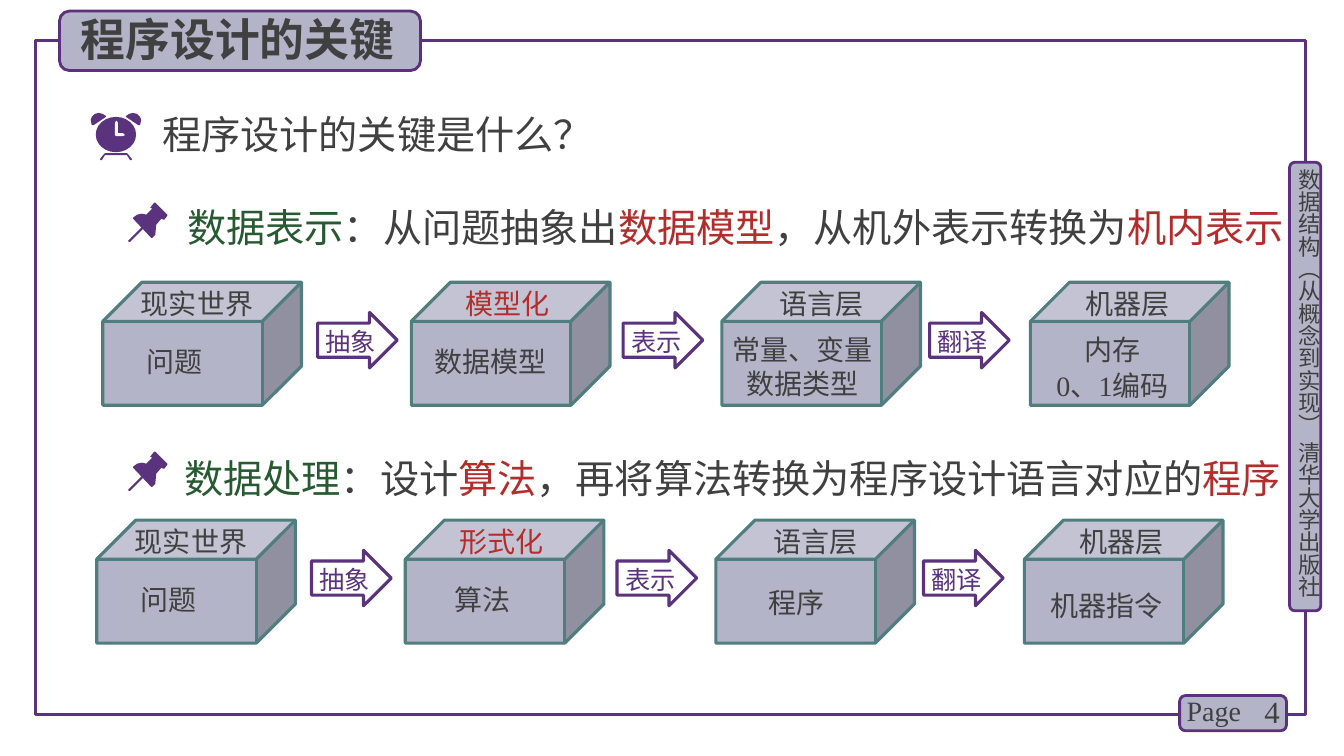
from lxml import etree
from pptx import Presentation
from pptx.dml.color import RGBColor
from pptx.enum.shapes import MSO_SHAPE
from pptx.enum.text import MSO_ANCHOR, MSO_AUTO_SIZE, PP_ALIGN
from pptx.oxml.ns import qn
from pptx.util import Inches, Pt

RECTANGLE, ROUNDED, OVAL = MSO_SHAPE.RECTANGLE, MSO_SHAPE.ROUNDED_RECTANGLE, MSO_SHAPE.OVAL
CUBE, ARROW = MSO_SHAPE.CUBE, MSO_SHAPE.RIGHT_ARROW
TOP, MIDDLE = MSO_ANCHOR.TOP, MSO_ANCHOR.MIDDLE
LEFT, CENTER, RIGHT = PP_ALIGN.LEFT, PP_ALIGN.CENTER, PP_ALIGN.RIGHT

COLORS = {
    "purple": "5A327D", "badge line": "5C307D", "lavender": "B4B4C8", "teal": "507D7D",
    "text": "404040", "green": "285A32", "red": "B42D2D", "white": "FFFFFF",
}
SANS, SERIF = "Noto Sans CJK SC", "Times New Roman"

# Icon outlines in hundredths of an inch from the icon's corner
PIN_HEAD = [(39, 12), (27, 0), (26, 0), (22, 5), (24, 6), (18, 12), (14, 11), (9, 12), (5, 15),
            (5, 16), (23, 35), (24, 35), (27, 32), (28, 22), (33, 16), (35, 17), (36, 17), (39, 13)]
PIN_NEEDLE = [(0, 38), (1, 39), (2, 39), (15, 26), (15, 25), (14, 24), (1, 37)]
CLOCK_BELL = [(8, 0), (4, 1), (1, 4), (0, 7), (1, 12), (3, 12), (15, 4), (15, 3), (12, 1)]
CLOCK_LEGS = [(41, 46), (37, 41), (36, 40), (14, 40), (13, 41), (9, 46), (10, 47), (11, 47),
              (14, 42), (36, 42), (39, 47), (40, 47)]
CLOCK_HANDS = [(25, 8), (24, 10), (24, 22), (25, 23), (32, 23), (34, 22), (32, 20), (27, 20),
               (27, 10), (26, 8)]

CUBE_OFFSETS = [0, 3.06, 6.14, 9.2]
ARROWS = [("抽象", 2.13), ("表示", 5.16), ("翻译", 8.2)]
# Text on each cube's lid: offset from the cube, width
LIDS = [(0.28, 1.66), (0.44, 1.23), (0.47, 1.15), (0.45, 1.18)]
# Text on each cube's front: lines, left and top offsets, width, paragraph and font format
MACHINE = {"align": CENTER, "spacing": Pt(26), "font": SERIF}
DATA_CUBES = [
    ("现实世界", "text", ["问题"], 0.33, 0.57, 0.98, {}),
    ("模型化", "red", ["数据模型"], 0.13, 0.57, 1.37, {}),
    ("语言层", "text", ["常量、变量", "数据类型"], -0.02, 0.45, 1.64, {"align": CENTER}),
    ("机器层", "text", ["内存", "0、1编码"], 0, 0.42, 1.63, MACHINE),
]
PROCESS_CUBES = [
    ("现实世界", "text", ["问题"], 0.33, 0.57, 0.98, {}),
    ("形式化", "red", ["算法"], 0.39, 0.57, 0.9, {}),
    ("语言层", "text", ["程序"], -0.02, 0.6, 1.64, {"align": CENTER}),
    ("机器层", "text", ["机器指令"], 0, 0.6, 1.63, MACHINE),
]
DATA_POINT = [("数据表示", "green"), ("：从问题抽象出", "text"), ("数据模型", "red"),
              ("，从机外表示转换为", "text"), ("机内表示", "red")]
PROCESS_POINT = [("数据处理", "green"), ("：设计", "text"), ("算法", "red"),
                 ("，再将算法转换为程序设计语言对应的", "text"), ("程序", "red")]


def rgb(name):
    return RGBColor.from_string(COLORS[name])


def fill_text(frame, lines, size, align=LEFT, spacing=1.0, font=SANS, bold=False,
              anchor=TOP, margins=(0.1, 0.05, 0.1, 0.05)):
    """Write lines into a text frame; each line is a list of (text, colour) runs."""
    left, top, right, bottom = map(Inches, margins)
    frame_format = {"word_wrap": True, "auto_size": MSO_AUTO_SIZE.NONE, "vertical_anchor": anchor,
                    "margin_left": left, "margin_top": top,
                    "margin_right": right, "margin_bottom": bottom}
    for name, value in frame_format.items():
        setattr(frame, name, value)
    for index, line in enumerate(lines):
        paragraph = frame.paragraphs[0] if index == 0 else frame.add_paragraph()
        paragraph.alignment, paragraph.line_spacing = align, spacing
        for text, color in line:
            run = paragraph.add_run()
            run.text = text
            for name, value in {"size": Pt(size), "name": font, "bold": bold}.items():
                setattr(run.font, name, value)
            run.font.color.rgb = rgb(color)
            latin = run._r.get_or_add_rPr().find(qn("a:latin"))
            east_asian = etree.Element(qn("a:ea"))
            east_asian.set("typeface", SANS)
            latin.addnext(east_asian)


def add_text(slide, box, lines, size, **text_format):
    shape = slide.shapes.add_textbox(*map(Inches, box))
    fill_text(shape.text_frame, lines, size, **text_format)
    return shape


def paint(shape, fill=None, line=None, width=2.25):
    shape.shadow.inherit = False
    if fill:
        shape.fill.solid()
        shape.fill.fore_color.rgb = rgb(fill)
    else:
        shape.fill.background()
    if line:
        shape.line.color.rgb = rgb(line)
        shape.line.width = Pt(width)
    else:
        shape.line.fill.background()


def add_box(slide, kind, box, fill=None, line=None, width=2.25):
    shape = slide.shapes.add_shape(kind, *map(Inches, box))
    paint(shape, fill, line, width)
    return shape


def add_badge(slide, box):
    return add_box(slide, ROUNDED, box, "lavender", "badge line", 2)


def add_outline(slide, left, top, points, fill="purple"):
    builder = slide.shapes.build_freeform(*points[0], scale=Inches(0.01))
    builder.add_line_segments(points[1:], close=True)
    paint(builder.convert_to_shape(Inches(left), Inches(top)), fill)


def add_clock(slide, left, top):
    for points in (CLOCK_LEGS, CLOCK_BELL, [(50 - x, y) for x, y in CLOCK_BELL]):
        add_outline(slide, left, top, points)
    add_box(slide, OVAL, (left + 0.05, top + 0.04, 0.4, 0.35), "purple")
    add_outline(slide, left, top, CLOCK_HANDS, "white")


def add_frame(slide):
    add_box(slide, RECTANGLE, (0.35, 0.4, 12.6, 6.69), line="purple")
    add_badge(slide, (12.79, 1.61, 0.31, 4.45))
    spine = add_text(slide, (12.85, 1.67, 0.27, 4.49),
                     [[("数据结构（从概念到实现） 清华大学出版社", "text")]], 16, margins=(0, 0, 0, 0))
    spine.text_frame._txBody.bodyPr.set("vert", "eaVert")
    add_badge(slide, (11.7, 6.9, 1.06, 0.35))
    add_text(slide, (12.2, 6.86, 0.59, 0.4), [[("4", "text")]], 22,
             font=SERIF, align=RIGHT, anchor=MIDDLE)
    add_text(slide, (11.67, 6.83, 0.78, 0.44), [[("Page", "text")]], 20, font=SERIF)


def add_title(slide, left, top):
    badge = add_badge(slide, (left, top, 3.58, 0.59))
    title = slide.shapes.title
    place = {"left": left + 0.11, "top": top - 0.04, "width": 3.64, "height": 0.64}
    for name, value in place.items():
        setattr(title, name, Inches(value))
    fill_text(title.text_frame, [[("程序设计的关键", "text")]], 32, bold=True)
    badge.element.addnext(title.element)


def add_question(slide, left, top):
    add_clock(slide, left, top + 0.07)
    add_text(slide, (left + 0.61, top, 7.26, 0.57), [[("程序设计的关键是什么？", "text")]], 28)


def add_point(slide, left, top, pin_top, runs):
    add_text(slide, (left, top, 11.42, 0.62), [runs], 28, spacing=1.2)
    for points in (PIN_HEAD, PIN_NEEDLE):
        add_outline(slide, 1.27, pin_top, points)


def add_chain(slide, left, top, cubes):
    """Draw four cubes joined by three labelled arrows."""
    for offset, lid, cube in zip(CUBE_OFFSETS, LIDS, cubes):
        heading, color, lines, front_left, front_top, front_width, text_format = cube
        x = left + offset
        shape = add_box(slide, CUBE, (x, top, 1.97, 1.22), "lavender", "teal")
        shape.adjustments[0] = 0.318
        add_text(slide, (x + lid[0], top - 0.01, lid[1], 0.44), [[(heading, color)]], 20)
        height = 0.1 + 0.34 * len(lines)
        add_text(slide, (x + front_left, top + front_top, front_width, height),
                 [[(line, "text")] for line in lines], 20, **text_format)
    for label, offset in ARROWS:
        arrow = add_box(slide, ARROW, (left + offset, top + 0.3, 0.79, 0.55), line="purple")
        arrow.adjustments[0], arrow.adjustments[1] = 0.616, 0.5
        fill_text(arrow.text_frame, [[(label, "purple")]], 18, align=CENTER, spacing=Pt(24),
                  anchor=MIDDLE, margins=(0.04, 0, 0, 0))


def main():
    presentation = Presentation()
    presentation.slide_width, presentation.slide_height = Inches(13.33), Inches(7.5)
    slide = presentation.slides.add_slide(presentation.slide_layouts[5])
    add_frame(slide)
    add_title(slide, 0.59, 0.11)
    add_question(slide, 0.9, 1.05)
    add_point(slide, 1.76, 1.87, 2.01, DATA_POINT)
    add_point(slide, 1.73, 4.36, 4.48, PROCESS_POINT)
    add_chain(slide, 1.02, 2.8, DATA_CUBES)
    add_chain(slide, 0.96, 5.16, PROCESS_CUBES)
    presentation.save("out.pptx")


if __name__ == "__main__":
    main()
